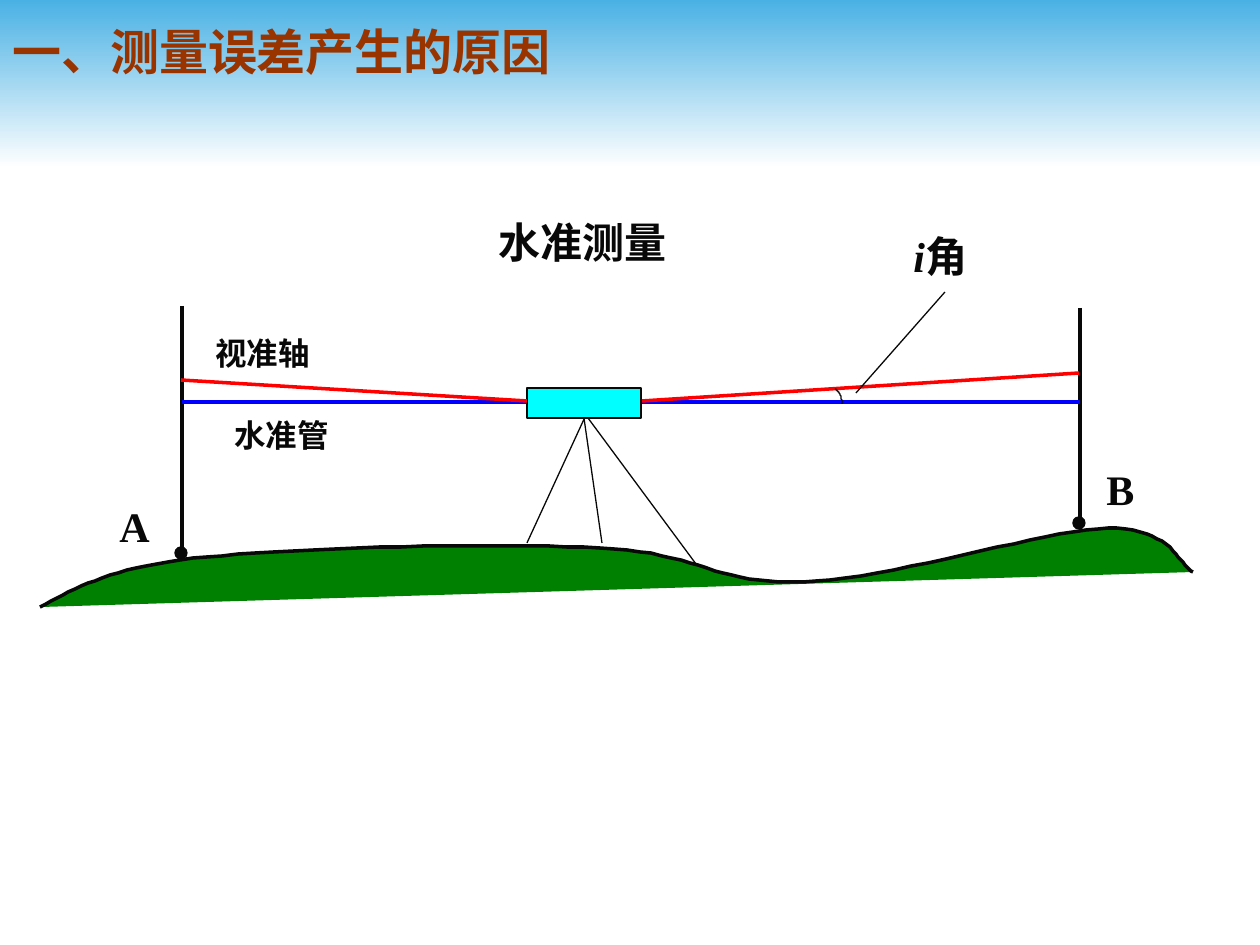
from dataclasses import dataclass

from lxml import etree
from pptx import Presentation
from pptx import util as u
from pptx.dml.color import RGBColor
from pptx.enum import shapes, text
from pptx.oxml.ns import qn

PX = u.Inches(1) // 126


@dataclass(frozen=True)
class Theme:
    sky: str = "4AB1E4"
    white: str = "FFFFFF"
    ink: str = "080808"
    ground: str = "008000"
    level: str = "0000FF"
    sight: str = "FF0000"
    instrument: str = "00FFFF"
    title: str = "993300"
    latin: str = "Times New Roman"
    cjk: str = "Noto Sans CJK SC"
    title_size: int = 28
    label_size: int = 24
    small_size: int = 18
    thick: float = 2
    thin: float = 0.75


T = Theme()


def px(*values):
    return [v * PX for v in values]


def rgb(value):
    return RGBColor.from_string(value)


def set_line(sp, color, width):
    sp.line.color.rgb = rgb(color)
    sp.line.width = u.Pt(width)


def add_line(s, start, end, color=T.ink, width=T.thin):
    sp = s.shapes.add_connector(shapes.MSO_CONNECTOR.STRAIGHT, *px(*start, *end))
    set_line(sp, color, width)
    etree.SubElement(sp._element.spPr, qn("a:effectLst"))
    return sp


def add_solid(s, kind, box, color):
    sp = s.shapes.add_shape(kind, *px(*box))
    sp.shadow.inherit = False
    sp.fill.solid()
    sp.fill.fore_color.rgb = rgb(color)
    set_line(sp, T.ink, T.thin)
    return sp


def add_sky(s):
    sp = s.shapes.add_shape(shapes.MSO_SHAPE.RECTANGLE, *px(0, 0, 1260, 168))
    sp.shadow.inherit = False
    sp.line.fill.background()
    sp.fill.gradient()
    sp.fill.gradient_angle = 270
    for stop, color, position in zip(sp.fill.gradient_stops, (T.sky, T.white), (0, 1)):
        stop.color.rgb = rgb(color)
        stop.position = position


def bezier(p0, p1, p2, p3, steps=20):
    """Points after p0 along a cubic curve."""
    for i in range(1, steps + 1):
        t = i / steps
        weights = ((1 - t) ** 3, 3 * t * (1 - t) ** 2, 3 * t * t * (1 - t), t ** 3)
        yield tuple(sum(w * p[axis] for w, p in zip(weights, (p0, p1, p2, p3)))
                    for axis in (0, 1))


def add_curve(s, start, segments, width, fill=None):
    points, here = [], start
    for segment in segments:
        points += bezier(here, *segment)
        here = segment[-1]
    builder = s.shapes.build_freeform(*start, scale=PX)
    builder.add_line_segments(points, close=False)
    sp = builder.convert_to_shape()
    sp.shadow.inherit = False
    set_line(sp, T.ink, width)
    if fill:
        sp.fill.solid()
        sp.fill.fore_color.rgb = rgb(fill)
    else:
        sp.fill.background()


def add_text(s, box, runs, size, color=T.ink, latin=T.latin,
             anchor=text.MSO_ANCHOR.TOP):
    """Add one bold line; runs holds (wording, italic) pairs."""
    tf = s.shapes.add_textbox(*px(*box)).text_frame
    tf.word_wrap = False
    tf.vertical_anchor = anchor
    p = tf.paragraphs[0]
    for wording, italic in runs:
        r = p.add_run()
        r.text = wording
        values = {"size": u.Pt(size), "bold": True, "italic": italic, "name": latin}
        for name, value in values.items():
            setattr(r.font, name, value)
        r.font.color.rgb = rgb(color)
        ea = etree.SubElement(r._r.get_or_add_rPr(), qn("a:ea"))
        ea.set("typeface", T.cjk)
    return p


def add_ground(s):
    add_curve(s, (40, 607), [
        ((77, 587), (113, 566), (207, 557)),
        ((300, 547), (500, 543), (600, 548)),
        ((699, 552), (718, 586), (803, 582)),
        ((888, 580), (1043, 530), (1108, 528)),
        ((1173, 527), (1179, 566), (1193, 572)),
    ], T.thick, T.ground)


def add_instrument(s):
    add_line(s, (586, 415), (527, 543))
    middle_leg = add_line(s, (584, 418), (602, 543))
    add_line(s, (588, 418), (696, 564))
    add_line(s, (182, 402), (1080, 402), T.level, T.thick)
    body = add_solid(s, shapes.MSO_SHAPE.RECTANGLE, (527, 388, 114, 30), T.instrument)
    middle_leg.begin_connect(body, 2)
    add_line(s, (181, 380), (527, 401), T.sight, T.thick)
    add_line(s, (642, 401), (1079, 373), T.sight, T.thick)


def main():
    prs = Presentation()
    prs.slide_width, prs.slide_height = px(1260, 945)
    s = prs.slides.add_slide(prs.slide_layouts[6])

    add_sky(s)
    add_ground(s)
    staffs = ((182, 306, 553), (1080, 308, 523))
    for x, top, foot in staffs:
        add_line(s, (x, top), (x, foot), width=T.thick)
    add_instrument(s)

    add_curve(s, (835, 389), [((839, 391), (842, 396), (842, 404))], T.thin)
    add_line(s, (856, 393), (945, 292))
    for x, _, foot in staffs:
        add_solid(s, shapes.MSO_SHAPE.OVAL, (x - 7, foot - 6, 12, 12), T.ink)

    labels = (
        ((107, 494, 58, 63), [("A", False)], T.label_size),
        ((1094, 457, 58, 63), [("B", False)], T.label_size),
        ((486, 210, 203, 63), [("水准测量", False)], T.label_size),
        ((901, 224, 89, 63), [("i", True), ("角", False)], T.label_size),
        ((203, 328, 126, 50), [("视准轴", False)], T.small_size),
        ((222, 410, 126, 50), [("水准管", False)], T.small_size),
    )
    for box, runs, size in labels:
        add_text(s, box, runs, size)

    p = add_text(s, (0, 0, 1134, 87), [("一、测量误差产生的原因", False)],
                 T.title_size, T.title, T.cjk, text.MSO_ANCHOR.BOTTOM)
    p.line_spacing = 1.2
    p._p.pPr.set("marL", str(62 * PX))
    p._p.pPr.set("indent", str(-62 * PX))
    p._p.getparent().bodyPr.set("wrap", "square")

    prs.save("out.pptx")


if __name__ == "__main__":
    main()
